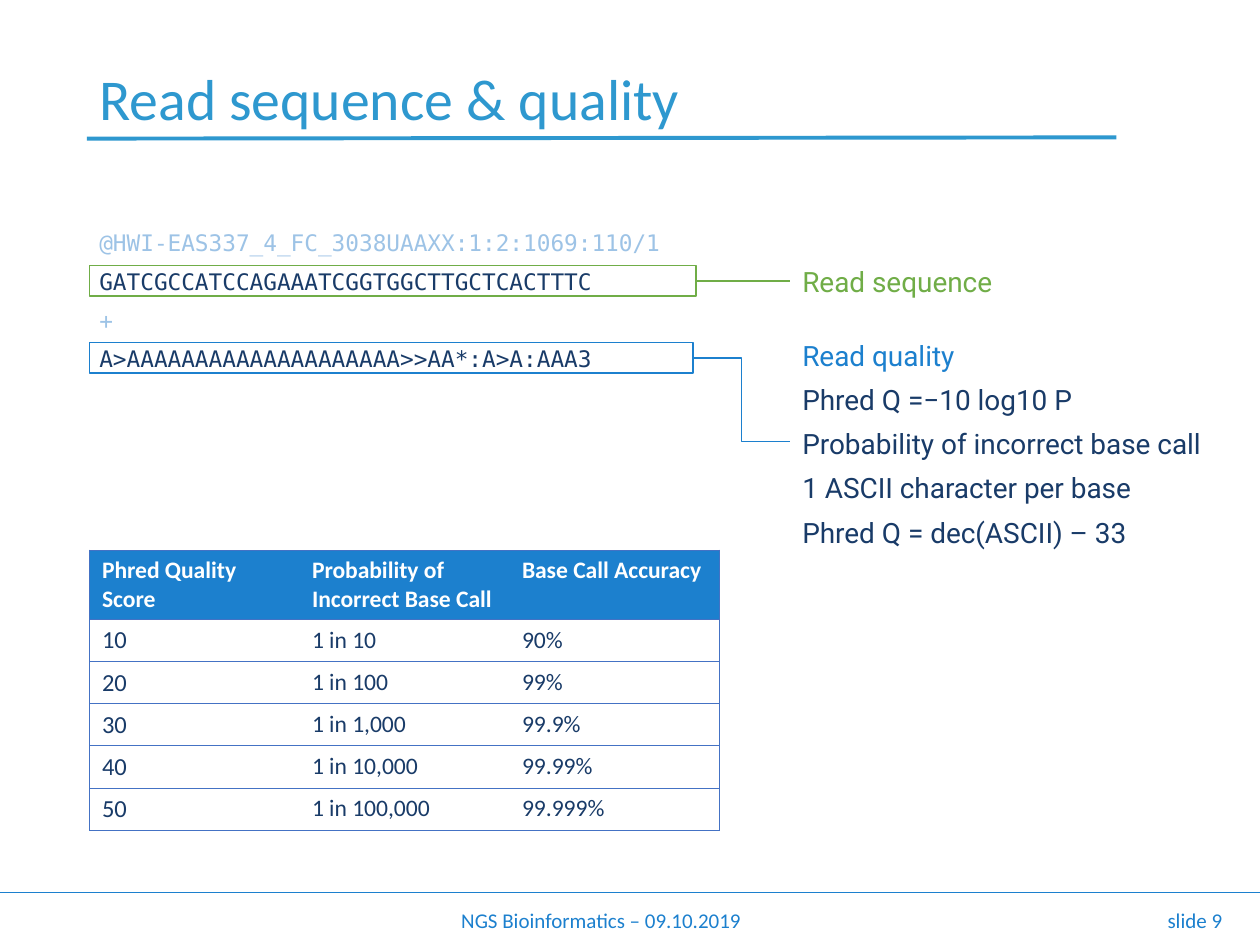
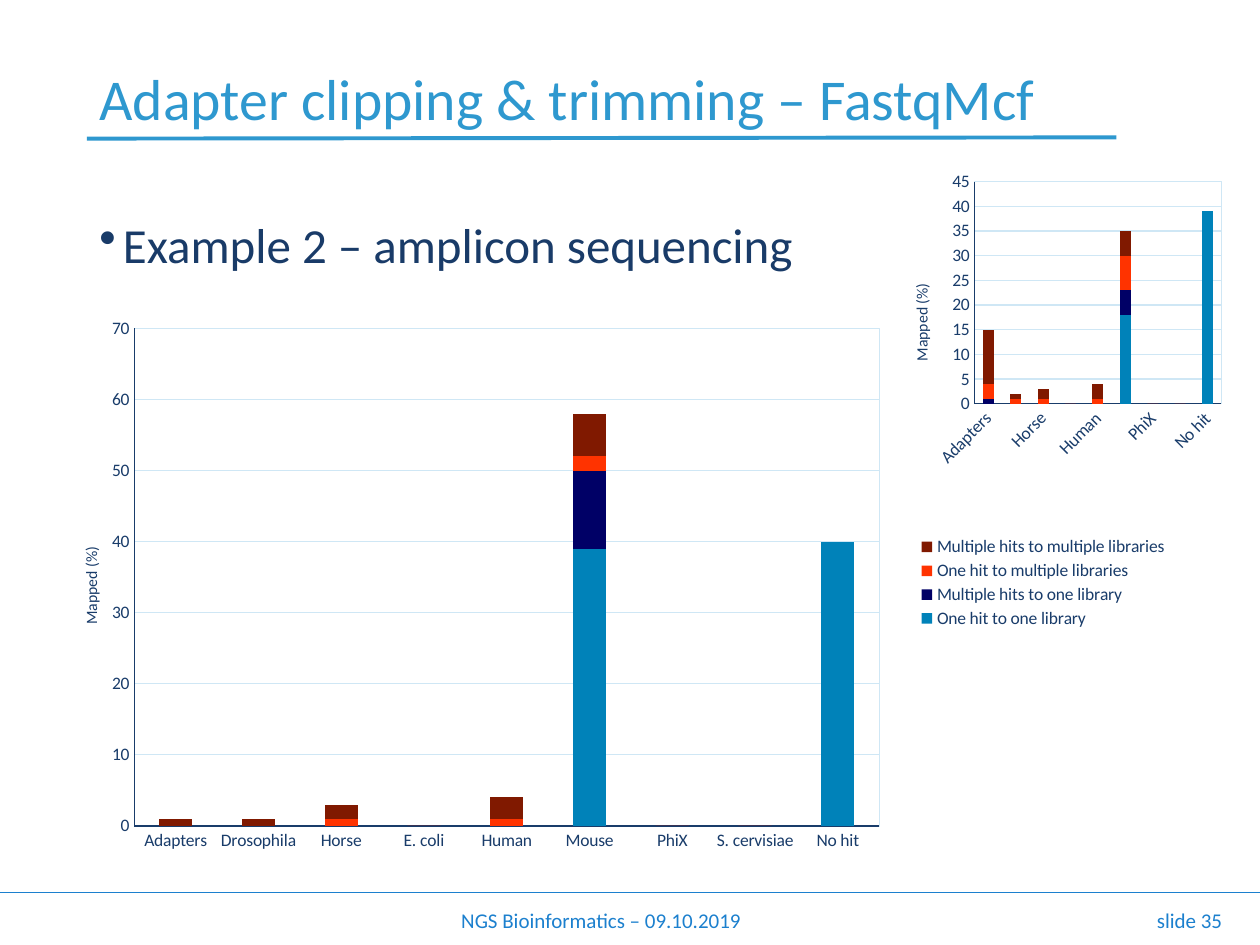
import lxml.etree
import pptx
import pptx.chart.data
import pptx.dml.color
import pptx.enum.chart
import pptx.enum.shapes
import pptx.enum.text
import pptx.oxml
import pptx.oxml.ns
import pptx.util

Pt = pptx.util.Pt
RGBColor = pptx.dml.color.RGBColor
qn = pptx.oxml.ns.qn
Align = pptx.enum.text.PP_ALIGN
Connector = pptx.enum.shapes.MSO_CONNECTOR

BLUE = RGBColor(0x1C, 0x80, 0xCE)
TITLE_BLUE = RGBColor(0x2E, 0x98, 0xCF)
PALE_BLUE = RGBColor(0x9D, 0xC3, 0xE6)
NAVY = RGBColor(0x19, 0x3B, 0x68)
AXIS_NAVY = RGBColor(0x19, 0x3C, 0x6A)
GRID_BLUE = RGBColor(0xCF, 0xE7, 0xF5)
GREEN = RGBColor(0x70, 0xAD, 0x47)
TABLE_LINE = RGBColor(0x44, 0x72, 0xC4)
WHITE = RGBColor(0xFF, 0xFF, 0xFF)
SERIES_COLORS = [RGBColor(0x00, 0x82, 0xB9), RGBColor(0x00, 0x00, 0x66),
                 RGBColor(0xFF, 0x33, 0x00), RGBColor(0x80, 0x19, 0x00)]


def add_text(page, frame, lines, size, font="Calibri", align=Align.LEFT, after=0):
    """Add a text box; lines holds (text, colour) pairs, one per paragraph."""
    box = page.shapes.add_textbox(*map(Pt, frame))
    box.text_frame.word_wrap = True
    box.text_frame.text = "\n".join(text for text, color in lines)
    for paragraph, (text, color) in zip(box.text_frame.paragraphs, lines):
        paragraph.alignment = align
        paragraph.space_after = Pt(after)
        span = paragraph.runs[0]
        span.font.name = font
        span.font.size = Pt(size)
        span.font.color.rgb = color
    return box


def set_layout(part, index, **values):
    """Give a chart part a manual layout, as fractions of the chart."""
    for old in part.findall(qn("c:layout")):
        part.remove(old)
    layout = lxml.etree.Element(qn("c:layout"))
    manual = lxml.etree.SubElement(layout, qn("c:manualLayout"))
    if part.tag == qn("c:plotArea"):
        lxml.etree.SubElement(manual, qn("c:layoutTarget"), val="inner")
    for mode in ("xMode", "yMode"):
        lxml.etree.SubElement(manual, qn("c:" + mode), val="edge")
    for name, value in values.items():
        lxml.etree.SubElement(manual, qn("c:" + name), val=str(value))
    part.insert(index, layout)


deck = pptx.Presentation()
deck.slide_width = Pt(720)
deck.slide_height = Pt(540)

# Title, rules and footer on every slide
pages = []
for number, title in [(9, "Read sequence & quality"),
                      (35, "Adapter clipping & trimming – FastqMcf")]:
    page = deck.slides.add_slide(deck.slide_layouts[6])
    pages.append(page)
    for ends, color, width in [((0, 510, 720, 510), BLUE, 1),
                               ((49.7, 79.2, 638, 78.5), TITLE_BLUE, 2.25)]:
        rule = page.shapes.add_connector(Connector.STRAIGHT, *map(Pt, ends))
        rule.line.color.rgb = color
        rule.line.width = Pt(width)
    add_text(page, (232.5, 515, 222, 21.8), [("NGS Bioinformatics – 09.10.2019", BLUE)],
             12, align=Align.CENTER)
    add_text(page, (586, 515, 119.5, 21.8), [(f"slide {number}", BLUE)],
             12, align=Align.RIGHT)
    title_box = add_text(page, (49.7, 5.8, 620.6, 104.4), [(title, TITLE_BLUE)], 33)
    title_box.text_frame.vertical_anchor = pptx.enum.text.MSO_ANCHOR.MIDDLE
    title_box.text_frame.paragraphs[0].line_spacing = 0.9

quality_page, trimming_page = pages

# FASTQ record with its two annotated lines
record = add_text(quality_page, (49.7, 127.4, 355, 105), [
    ("@HWI-EAS337_4_FC_3038UAAXX:1:2:1069:110/1", PALE_BLUE),
    ("GATCGCCATCCAGAAATCGGTGGCTTGCTCACTTTC", NAVY),
    ("+", PALE_BLUE),
    ("A>AAAAAAAAAAAAAAAAAAAA>>AA*:A>A:AAA3", NAVY),
], 13, "DejaVu Sans Mono", after=6.5)
record.text_frame.word_wrap = False

annotations = [
    (GREEN, (51.1, 151.8, 346.6, 17.4), (451.4, 147.5, 130, 26), ["Read sequence"]),
    (BLUE, (51.1, 195.8, 345, 17.4), (451.4, 190, 258, 124.6),
     ["Read quality", "Phred Q =−10 log10 P", "Probability of incorrect base call",
      "1 ASCII character per base", "Phred Q = dec(ASCII) – 33"]),
]
for color, outline_frame, label_frame, texts in annotations:
    lines = [(text, NAVY if row else color) for row, text in enumerate(texts)]
    label = add_text(quality_page, label_frame, lines, 16, "Roboto", after=6)
    outline = quality_page.shapes.add_shape(
        pptx.enum.shapes.MSO_SHAPE.RECTANGLE, *map(Pt, outline_frame))
    outline.shadow.inherit = False
    outline.fill.background()
    link = quality_page.shapes.add_connector(Connector.ELBOW, 0, 0, 0, 0)
    link.begin_connect(outline, 3)
    link.end_connect(label, 1)
    for shape in (outline, link):
        shape.line.color.rgb = color
        shape.line.width = Pt(1)

# Phred score table
score_rows = [("Phred Quality Score", "Probability of Incorrect Base Call", "Base Call Accuracy"),
              ("10", "1 in 10", "90%"),
              ("20", "1 in 100", "99%"),
              ("30", "1 in 1,000", "99.9%"),
              ("40", "1 in 10,000", "99.99%"),
              ("50", "1 in 100,000", "99.999%")]
table = quality_page.shapes.add_table(
    6, 3, Pt(51.1), Pt(314.3), Pt(360), Pt(159.5)).table
table.horz_banding = False
for column in table.columns:
    column.width = Pt(120)
for row, texts in enumerate(score_rows):
    table.rows[row].height = Pt(24.1 if row else 39)
    for column, text in enumerate(texts):
        cell = table.cell(row, column)
        cell.text = text
        font = cell.text_frame.paragraphs[0].runs[0].font
        font.name = "Calibri"
        font.size = Pt(14 if row and column == 0 else 13.5)
        font.bold = row == 0
        font.color.rgb = NAVY if row else WHITE
        if row:
            cell.fill.background()
        else:
            cell.fill.solid()
            cell.fill.fore_color.rgb = BLUE
        properties = cell._tc.get_or_add_tcPr()
        drawn = {"lnL": column == 0, "lnR": column == 2, "lnT": True, "lnB": True}
        for index, (side, visible) in enumerate(drawn.items()):
            border = lxml.etree.Element(qn("a:" + side), w=str(Pt(0.5)))
            if visible:
                fill = lxml.etree.SubElement(border, qn("a:solidFill"))
                lxml.etree.SubElement(fill, qn("a:srgbClr"), val=str(TABLE_LINE))
            else:
                lxml.etree.SubElement(border, qn("a:noFill"))
            properties.insert(index, border)

# Bulleted heading
example = add_text(trimming_page, (49.7, 102.2, 620.6, 388.8),
                   [("Example 2 – amplicon sequencing", NAVY)], 28)
paragraph = example.text_frame.paragraphs[0]
paragraph.line_spacing = 1.5
bullet_properties = paragraph._p.get_or_add_pPr()
bullet_properties.set("marL", str(Pt(13.5)))
bullet_properties.set("indent", str(-Pt(13.5)))
lxml.etree.SubElement(bullet_properties, qn("a:buChar"), char="•")

# Mapping charts: small one first, then the large one with the legend
libraries = ["Adapters", "Drosophila", "Horse", "E. coli", "Human",
             "Mouse", "PhiX", "S. cervisiae", "No hit"]
charts = [
    dict(frame=(503.3, 95, 198.7, 176.4), top=45, step=5, legend=False,
         plot=dict(x=0.27, y=0.05, w=0.71, h=0.72), title=dict(x=0.08, y=0.37),
         series={"Series 1": [0, 0, 0, 0, 0, 18, 0, 0, 39],
                 "Series 2": [1, 0, 0, 0, 0, 5, 0, 0, None],
                 "Series 3": [3, 1, 1, 0, 1, 7, 0, 0, None],
                 "Series 4": [11, 1, 2, 0, 3, 5, 0, 0, None]}),
    dict(frame=(25.2, 175, 645, 316), top=70, step=10, legend=True,
         plot=dict(x=0.08, y=0.04, w=0.66, h=0.9), title=dict(x=0.03, y=0.43),
         series={"One hit to one library": [0, 0, 0, 0, 0, 39, 0, 0, 40],
                 "Multiple hits to one library": [0, 0, 0, 0, 0, 11, 0, 0, None],
                 "One hit to multiple libraries": [0, 0, 1, 0, 1, 2, 0, 0, None],
                 "Multiple hits to multiple libraries": [1, 1, 2, 0, 3, 6, 0, 0, None]}),
]
for settings in charts:
    data = pptx.chart.data.CategoryChartData()
    data.categories = libraries
    for name, values in settings["series"].items():
        data.add_series(name, values)
    chart = trimming_page.shapes.add_chart(
        pptx.enum.chart.XL_CHART_TYPE.COLUMN_STACKED,
        *map(Pt, settings["frame"]), data).chart
    chart.has_title = False
    chart.font.name = "Calibri"
    chart.font.size = Pt(10)
    chart.font.color.rgb = AXIS_NAVY

    plot = chart.plots[0]
    plot.vary_by_categories = False
    plot.gap_width = 150
    plot.overlap = 100
    for series, color in zip(plot.series, SERIES_COLORS):
        series.format.fill.solid()
        series.format.fill.fore_color.rgb = color

    for axis in (chart.category_axis, chart.value_axis):
        axis.major_tick_mark = pptx.enum.chart.XL_TICK_MARK.NONE
        axis.format.line.color.rgb = AXIS_NAVY
        axis.format.line.width = Pt(0.75)
        axis.tick_labels.font.size = Pt(10)
        axis.tick_labels.font.color.rgb = AXIS_NAVY
    value_axis = chart.value_axis
    value_axis.minimum_scale = 0
    value_axis.maximum_scale = settings["top"]
    value_axis.major_unit = settings["step"]
    value_axis.major_gridlines.format.line.color.rgb = GRID_BLUE
    value_axis.major_gridlines.format.line.width = Pt(0.75)
    value_axis.axis_title.text_frame.text = "Mapped (%)"
    title_font = value_axis.axis_title.text_frame.paragraphs[0].runs[0].font
    title_font.size = Pt(9)
    title_font.bold = False
    title_font.color.rgb = AXIS_NAVY

    plot_area = chart.element.xpath(".//c:plotArea")[0]
    set_layout(plot_area, 0, **settings["plot"])
    set_layout(chart.element.xpath(".//c:valAx/c:title")[0], 1, **settings["title"])
    plot_area.append(pptx.oxml.parse_xml(
        f'<c:spPr {pptx.oxml.ns.nsdecls("c", "a")}>'
        f'<a:noFill/><a:ln w="{Pt(0.75)}"><a:solidFill><a:srgbClr val="{GRID_BLUE}"/>'
        '</a:solidFill></a:ln></c:spPr>'))

    chart.has_legend = settings["legend"]
    if settings["legend"]:
        chart.legend.position = pptx.enum.chart.XL_LEGEND_POSITION.RIGHT
        chart.legend.include_in_layout = False
        chart.legend.font.size = Pt(10)
        chart.legend.font.color.rgb = AXIS_NAVY
        set_layout(chart.element.xpath(".//c:legend")[0], 1, x=0.77, y=0.41, w=0.23, h=0.18)
    else:
        label_body = chart.element.xpath(".//c:catAx/c:txPr/a:bodyPr")[0]
        label_body.set("rot", str(-45 * 60000))

# Connectors carry no shadow
for page in pages:
    for shape in page.shapes:
        if shape.shape_type == pptx.enum.shapes.MSO_SHAPE_TYPE.LINE:
            lxml.etree.SubElement(shape.element.spPr, qn("a:effectLst"))

deck.save("out.pptx")
